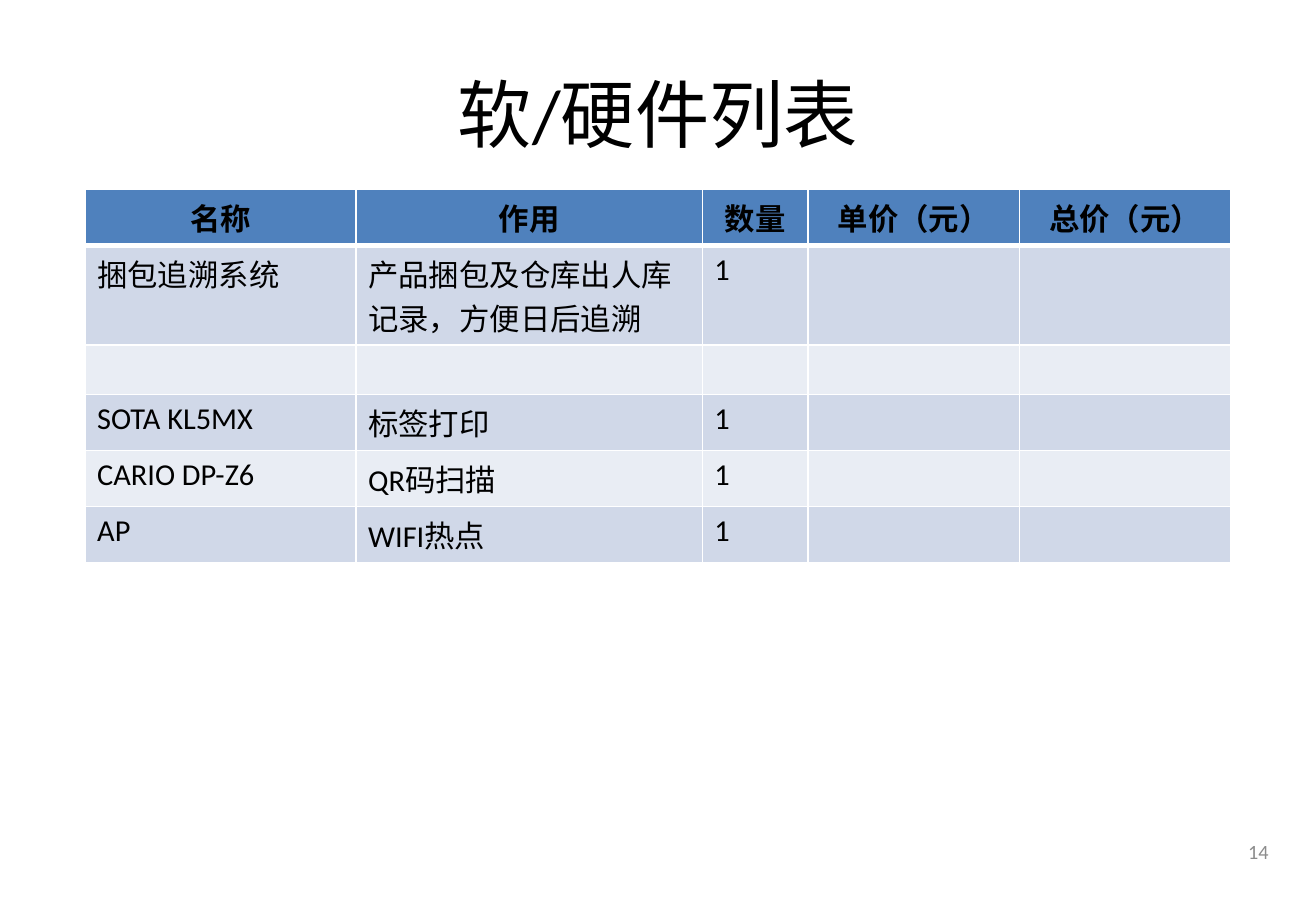
from lxml import etree
from pptx import Presentation
from pptx.dml.color import RGBColor
from pptx.enum.text import MSO_ANCHOR, PP_ALIGN
from pptx.oxml.ns import qn
from pptx.util import Pt

PX = 9144  # 100 px to the inch
FONT = "Calibri"
COLORS = {
    "text": "000000",
    "number": "8C8C8C",
    "header": "4F81BD",
    "odd": "D0D8E8",
    "even": "E9EDF4",
    "border": "FFFFFF",
}
COL_WIDTHS = [223, 285, 87, 174, 174]
ROW_HEIGHTS = [46, 82, 41, 46, 46, 46]
ROWS = [
    ["名称", "作用", "数量", "单价（元）", "总价（元）"],
    ["捆包追溯系统", "产品捆包及仓库出人库记录，方便日后追溯", "1", "", ""],
    ["", "", "", "", ""],
    ["SOTA KL5MX", "标签打印", "1", "", ""],
    ["CARIO DP-Z6", "QR码扫描", "1", "", ""],
    ["AP", "WIFI热点", "1", "", ""],
]


def px(*lengths):
    return [length * PX for length in lengths]


def rgb(name):
    return RGBColor.from_string(COLORS[name])


def write(tf, text, size, color="text", align=PP_ALIGN.LEFT, bold=False):
    tf.text = text
    p = tf.paragraphs[0]
    p.alignment = align
    p.font.size = Pt(size)
    for r in p.runs:
        r.font.name = FONT
        r.font.size = Pt(size)
        r.font.bold = bold
        r.font.color.rgb = rgb(color)


def add_border(cell, side, width):
    ln = etree.SubElement(cell._tc.get_or_add_tcPr(), qn(f"a:ln{side}"), w=str(Pt(width)))
    fill = etree.SubElement(ln, qn("a:solidFill"))
    etree.SubElement(fill, qn("a:srgbClr"), val=COLORS["border"])


def add_title(s, text):
    title = s.shapes.title
    title.left, title.top, title.width, title.height = px(54, 30, 975, 125)
    title.text_frame.vertical_anchor = MSO_ANCHOR.MIDDLE
    write(title.text_frame, text, 44, align=PP_ALIGN.CENTER)


def add_price_table(s):
    frame = s.shapes.add_table(len(ROWS), len(COL_WIDTHS),
                               *px(70, 156, sum(COL_WIDTHS), sum(ROW_HEIGHTS)))
    table = frame.table
    for column, width in zip(table.columns, COL_WIDTHS):
        column.width = width * PX
    for i, (texts, height) in enumerate(zip(ROWS, ROW_HEIGHTS)):
        table.rows[i].height = height * PX
        header = i == 0
        band = "header" if header else "odd" if i % 2 else "even"
        align = PP_ALIGN.CENTER if header else PP_ALIGN.LEFT
        for j, text in enumerate(texts):
            cell = table.cell(i, j)
            write(cell.text_frame, text, 18, align=align, bold=header)
            for side in "LRTB":
                under_header = (i, side) in [(0, "B"), (1, "T")]
                add_border(cell, side, 3 if under_header else 1)
            cell.fill.solid()
            cell.fill.fore_color.rgb = rgb(band)


def add_slide_number(s, number):
    tf = s.shapes.add_textbox(*px(791, 680, 253, 31)).text_frame
    tf.word_wrap = True
    tf.margin_left = tf.margin_right = tf.margin_top = tf.margin_bottom = 0
    tf.vertical_anchor = MSO_ANCHOR.BOTTOM
    write(tf, number, 12, "number", PP_ALIGN.RIGHT)


def main():
    prs = Presentation()
    prs.slide_width, prs.slide_height = px(1083, 750)
    s = prs.slides.add_slide(prs.slide_layouts[5])
    add_title(s, "软/硬件列表")
    add_slide_number(s, "14")
    add_price_table(s)
    prs.save("out.pptx")


if __name__ == "__main__":
    main()
